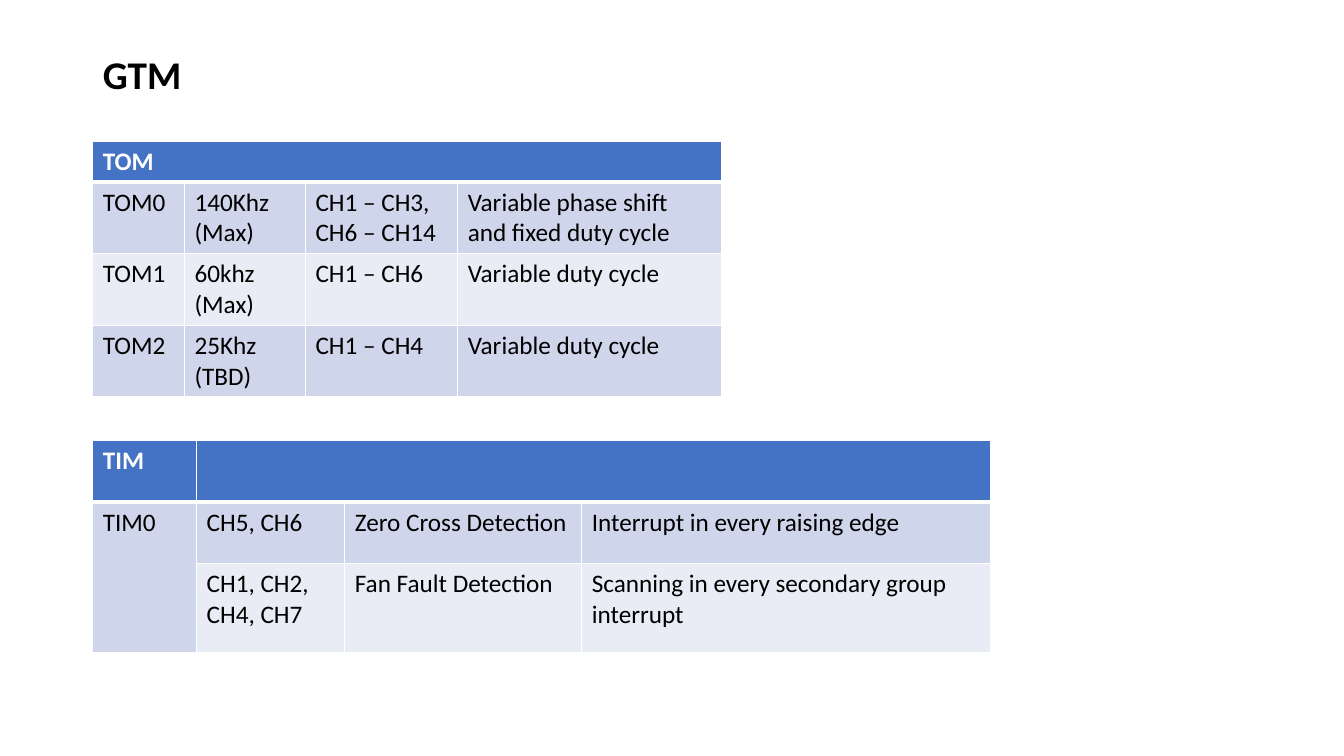
from dataclasses import dataclass

from lxml import etree
from pptx import Presentation
from pptx.dml.color import RGBColor
from pptx.enum.text import MSO_ANCHOR, PP_ALIGN
from pptx.oxml.ns import qn
from pptx.slide import Slide
from pptx.table import _Cell
from pptx.text.text import TextFrame
from pptx.util import Inches, Pt

FONT = "Calibri"
BLACK, WHITE = "000000", "FFFFFF"
HEADER_FILL = "4472C4"
BAND_FILLS = ("CFD5EA", "E9EBF5")
LEFT_MARGIN = 0.92


@dataclass(frozen=True)
class ChannelTable:
    top: float
    columns: tuple[float, ...]
    rows: tuple[float, ...]
    cells: tuple[tuple[str, ...], ...]
    merges: tuple[tuple[int, int, int, int], ...]


TABLES = (
    ChannelTable(
        top=1.4,
        columns=(0.91, 1.2, 1.51, 2.62),
        rows=(0.4, 0.71, 0.71, 0.71),
        cells=(
            ("TOM", "", "", ""),
            ("TOM0", "140Khz\n(Max)", "CH1 – CH3,\nCH6 – CH14",
             "Variable phase shift and fixed duty cycle"),
            ("TOM1", "60khz\n(Max)", "CH1 – CH6", "Variable duty cycle"),
            ("TOM2", "25Khz\n(TBD)", "CH1 – CH4", "Variable duty cycle"),
        ),
        merges=((0, 0, 0, 3),),
    ),
    ChannelTable(
        top=4.37,
        columns=(1.03, 1.47, 2.35, 4.06),
        rows=(0.61, 0.61, 0.88),
        cells=(
            ("TIM", "", "", ""),
            ("TIM0", "CH5, CH6", "Zero Cross Detection", "Interrupt in every raising edge"),
            ("", "CH1, CH2, CH4, CH7", "Fan Fault Detection",
             "Scanning in every secondary group interrupt"),
        ),
        merges=((0, 1, 0, 3), (1, 0, 2, 0)),
    ),
)


def rgb(color: str) -> RGBColor:
    return RGBColor.from_string(color)


def write(frame: TextFrame, text: str, size: float, color: str, bold: bool) -> None:
    frame.text = text
    for paragraph in frame.paragraphs:
        paragraph.alignment = PP_ALIGN.LEFT
        font = paragraph.font
        font.name, font.size, font.bold = FONT, Pt(size), bold
        font.color.rgb = rgb(color)


def add_borders(cell: _Cell, bottom: float, top: float) -> None:
    properties = cell._tc.get_or_add_tcPr()
    for side, width in (("L", 1), ("R", 1), ("T", top), ("B", bottom)):
        line = etree.SubElement(properties, qn(f"a:ln{side}"), w=str(Pt(width)))
        fill = etree.SubElement(line, qn("a:solidFill"))
        etree.SubElement(fill, qn("a:srgbClr"), val=WHITE)


def add_channel_table(slide: Slide, spec: ChannelTable) -> None:
    frame = slide.shapes.add_table(
        len(spec.rows), len(spec.columns), Inches(LEFT_MARGIN), Inches(spec.top),
        Inches(sum(spec.columns)), Inches(sum(spec.rows)))
    table = frame.table
    for column, width in zip(table.columns, spec.columns):
        column.width = Inches(width)
    for row, height in zip(table.rows, spec.rows):
        row.height = Inches(height)
    for r, texts in enumerate(spec.cells):
        header = r == 0
        for c, text in enumerate(texts):
            cell = table.cell(r, c)
            write(cell.text_frame, text, 18, WHITE if header else BLACK, header)
            add_borders(cell, bottom=3 if header else 1, top=3 if r == 1 else 1)
            cell.fill.solid()
            cell.fill.fore_color.rgb = rgb(HEADER_FILL if header else BAND_FILLS[(r - 1) % 2])
    for first_row, first_column, last_row, last_column in spec.merges:
        table.cell(first_row, first_column).merge(table.cell(last_row, last_column))


def add_title(slide: Slide, text: str) -> None:
    title = slide.shapes.title
    title.left, title.top = Inches(LEFT_MARGIN), Inches(0.43)
    title.width, title.height = Inches(2.34), Inches(0.59)
    frame = title.text_frame
    write(frame, text, 28, BLACK, True)
    frame.vertical_anchor = MSO_ANCHOR.BOTTOM
    frame.paragraphs[0].line_spacing = 0.9


presentation = Presentation()
presentation.slide_width, presentation.slide_height = Inches(13.33), Inches(7.5)
gtm_slide = presentation.slides.add_slide(presentation.slide_layouts[5])
add_title(gtm_slide, "GTM")
for channel_table in TABLES:
    add_channel_table(gtm_slide, channel_table)
presentation.save("out.pptx")
